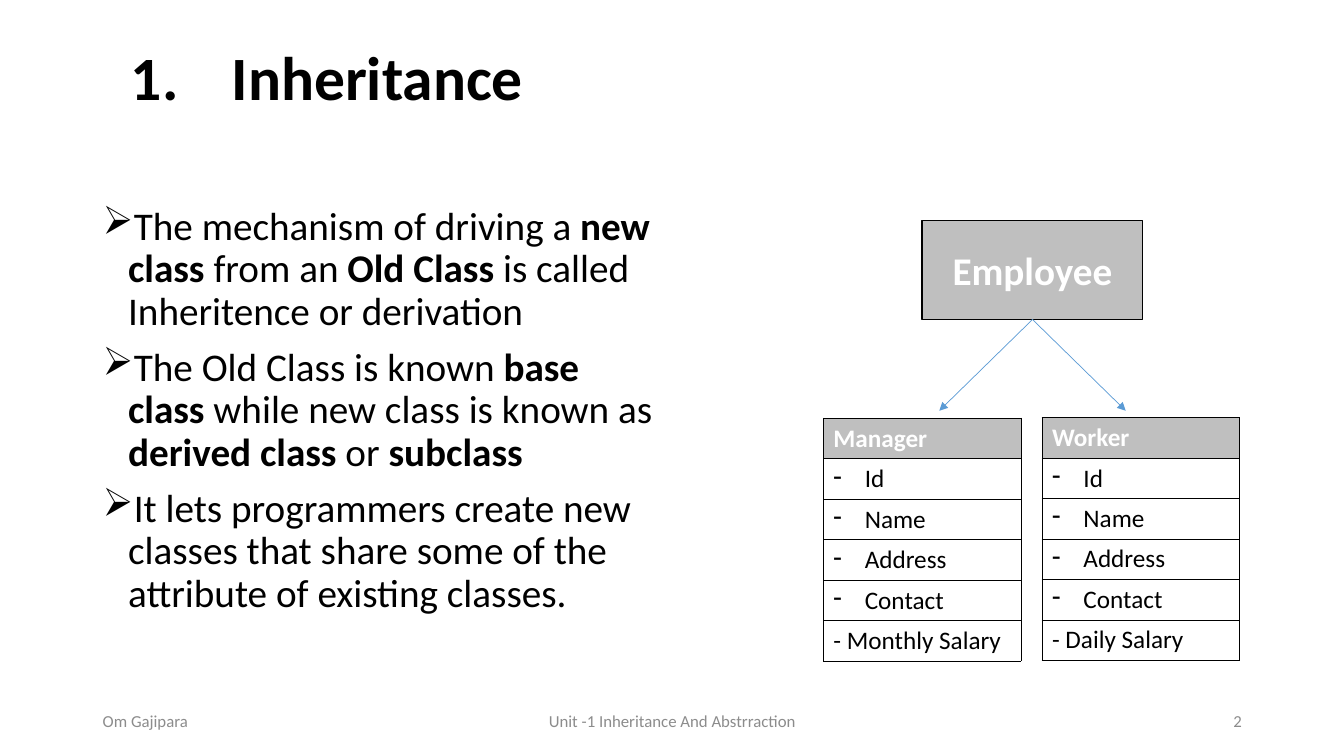
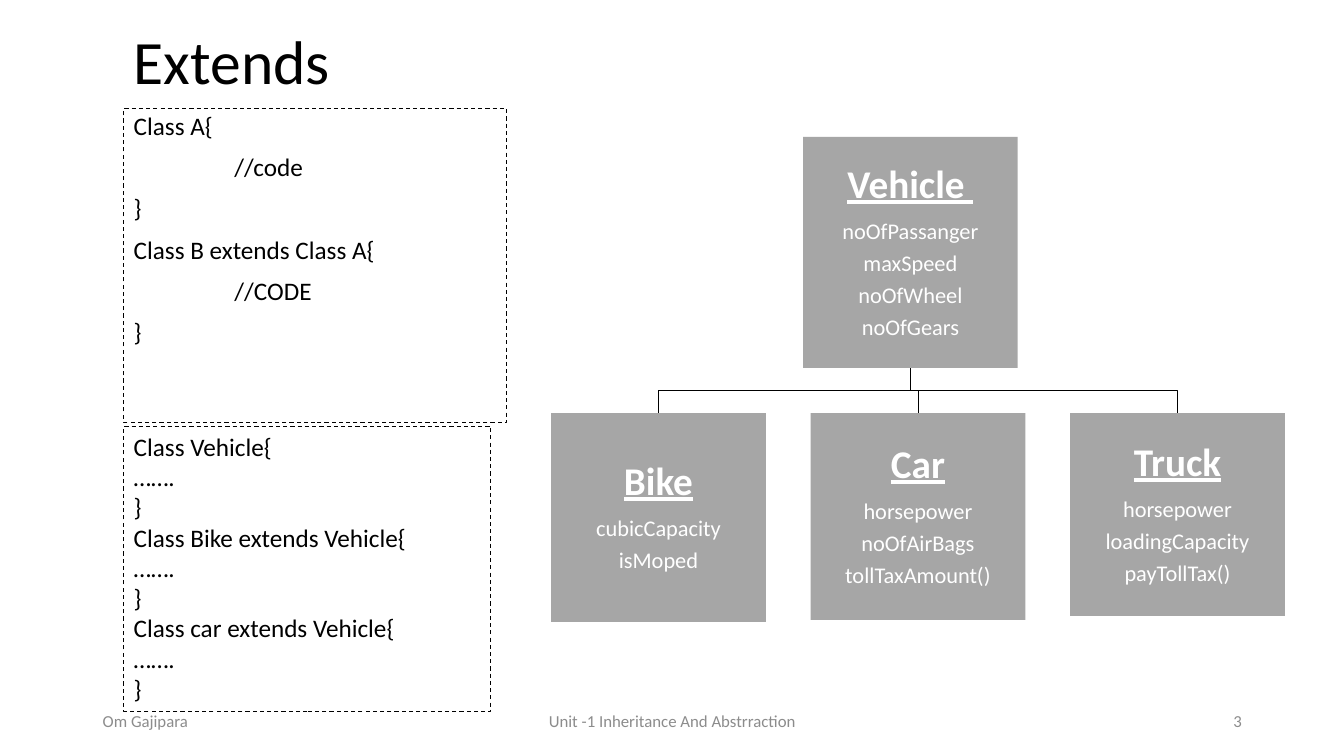
"""Builds two slides on class inheritance."""
import dataclasses
from typing import Any, Sequence

import lxml.etree
import pptx
import pptx.dml.color
import pptx.enum.dml
import pptx.enum.shapes
import pptx.enum.text
import pptx.oxml.ns
import pptx.util

Cm = pptx.util.Cm
Pt = pptx.util.Pt
ALIGN = pptx.enum.text.PP_ALIGN
ANCHOR = pptx.enum.text.MSO_ANCHOR
qn = pptx.oxml.ns.qn

FONT = "Calibri"
BLACK, WHITE, FOOTER_GREY = "000000", "FFFFFF", "8C8C8C"
HEAD_GREY, CARD_GREY, ARROW_BLUE = "BFBFBF", "A6A6A6", "5B9BD5"


@dataclasses.dataclass(frozen=True)
class Area:
    """A rectangle in centimetres."""
    left: float
    top: float
    width: float
    height: float

    @property
    def centre(self) -> float:
        """Horizontal middle."""
        return self.left + self.width / 2

    @property
    def bottom(self) -> float:
        """Lower edge."""
        return self.top + self.height

    def lengths(self) -> list[int]:
        """Position and size as slide lengths."""
        return [Cm(value) for value in dataclasses.astuple(self)]


@dataclasses.dataclass(frozen=True)
class Style:
    """Look of a paragraph; spacing in points, indents in centimetres."""
    size: float
    colour: str = BLACK
    bold: bool = False
    underline: bool = False
    align: Any = ALIGN.LEFT
    line: float = 1.0
    before: float = 0
    after: float = 0
    left: float = 0
    hang: float = 0
    bullet: str = ""
    numbered: bool = False


@dataclasses.dataclass(frozen=True)
class ClassCard:
    """A class with its members and the card that shows it."""
    name: str
    members: tuple[str, ...]
    area: Area


@dataclasses.dataclass(frozen=True)
class ClassTable:
    """A class table with dashed members."""
    name: str
    pay: str
    left: float
    top: float


Lines = Sequence[tuple[str, Style]]

TITLE = Style(44, line=0.9)
NUMBERED_TITLE = dataclasses.replace(TITLE, bold=True, left=2.54, hang=2.54, numbered=True)
POINT = Style(28, line=0.9, before=10, left=0.64, hang=0.64, bullet="➢")
CODE = Style(18)
SPACED_CODE = Style(18, line=0.9, before=10)
INNER_CODE = dataclasses.replace(SPACED_CODE, left=2.54)
BOX_NAME = Style(28, WHITE, bold=True, align=ALIGN.CENTER)
CARD_NAME = dataclasses.replace(BOX_NAME, underline=True, line=0.9, after=9.8)
CARD_MEMBER = Style(16, WHITE, align=ALIGN.CENTER, line=0.9, after=5.6)
TABLE_HEAD = Style(18, WHITE, bold=True)
TABLE_MEMBER = Style(18, left=0.79, hang=0.79, bullet="-")

POINTS = (
    "The mechanism of driving a **new class **from an **Old Class **"
    "is called Inheritence or derivation",
    "The Old Class is known **base class** while new class is known as "
    "**derived class** or **subclass**",
    "It lets programmers create new classes that share some of the "
    "attribute of existing classes.",
)
EMPLOYEE = Area(23.24, 5.56, 5.56, 2.49)
TABLES = (
    ClassTable("Manager", "- Monthly Salary", 20.75, 10.54),
    ClassTable("Worker", "- Daily Salary", 26.26, 10.52),
)
TABLE_WIDTH, ROW_HEIGHT = 4.98, 1.02

CARD_WIDTH, CHILD_LEFT, CHILD_STEP, CHILD_TOP = 5.41, 13.89, 6.54, 10.41
VEHICLE = ClassCard("Vehicle ", ("noOfPassanger", "maxSpeed", "noOfWheel", "noOfGears"),
                    Area(20.24, 3.45, CARD_WIDTH, 5.82))
CHILDREN = [
    ClassCard(name, members,
              Area(CHILD_LEFT + place * CHILD_STEP, CHILD_TOP, CARD_WIDTH, height))
    for place, (name, members, height) in enumerate((
        ("Bike", ("cubicCapacity", "isMoped"), 5.26),
        ("Car", ("horsepower", "noOfAirBags", "tollTaxAmount()"), 5.21),
        ("Truck", ("horsepower", "loadingCapacity", "payTollTax()"), 5.11),
    ))
]


def rgb(colour: str) -> pptx.dml.color.RGBColor:
    """Turn a hex string into a colour."""
    return pptx.dml.color.RGBColor.from_string(colour)


def style_paragraph(para: Any, style: Style) -> None:
    """Apply indents, bullet, spacing and font."""
    properties = para._p.get_or_add_pPr()
    if style.left:
        properties.set("marL", str(Cm(style.left)))
        properties.set("indent", str(-Cm(style.hang)))
    if style.numbered:
        lxml.etree.SubElement(properties, qn("a:buAutoNum"), type="arabicPeriod")
    elif style.bullet:
        lxml.etree.SubElement(properties, qn("a:buChar"), char=style.bullet)
    para.alignment = style.align
    para.line_spacing = style.line
    para.space_before, para.space_after = Pt(style.before), Pt(style.after)
    para.font.name, para.font.size = FONT, Pt(style.size)
    para.font.color.rgb = rgb(style.colour)
    para.font.bold, para.font.underline = style.bold, style.underline


def write_lines(frame: Any, lines: Lines) -> None:
    """Fill a text frame; double asterisks enclose bold words."""
    frame.word_wrap = True
    for place, (text, style) in enumerate(lines):
        para = frame.add_paragraph() if place else frame.paragraphs[0]
        style_paragraph(para, style)
        for part, words in enumerate(text.split("**")):
            if words:
                span = para.add_run()
                span.text = words
                if part % 2:
                    span.font.bold = True


def add_text(page: Any, area: Area, lines: Lines, anchor: Any = ANCHOR.MIDDLE) -> Any:
    """Add a wrapped text box."""
    box = page.shapes.add_textbox(*area.lengths())
    box.text_frame.vertical_anchor = anchor
    write_lines(box.text_frame, lines)
    return box


def add_code(page: Any, area: Area, lines: Lines) -> None:
    """Add code in a dashed frame."""
    box = add_text(page, area, lines, ANCHOR.TOP)
    box.line.color.rgb = rgb(BLACK)
    box.line.width = Pt(0.75)
    box.line.dash_style = pptx.enum.dml.MSO_LINE.DASH


def add_box(page: Any, area: Area, fill: str, lines: Lines) -> Any:
    """Add a filled rectangle without outline, with centred text."""
    box = page.shapes.add_shape(pptx.enum.shapes.MSO_SHAPE.RECTANGLE, *area.lengths())
    box.shadow.inherit = False
    box.fill.solid()
    box.fill.fore_color.rgb = rgb(fill)
    box.line.fill.background()
    box.text_frame.vertical_anchor = ANCHOR.MIDDLE
    write_lines(box.text_frame, lines)
    return box


def add_card(page: Any, card: ClassCard) -> None:
    """Add a class card with its members."""
    lines = [(card.name, CARD_NAME)] + [(member, CARD_MEMBER) for member in card.members]
    frame = add_box(page, card.area, CARD_GREY, lines).text_frame
    frame.margin_left = frame.margin_right = Cm(0.05)
    frame.margin_top = frame.margin_bottom = Cm(0.05)


def add_branch(page: Any, parent: Area, child: Area) -> None:
    """Add an angled line from a parent card to a child card."""
    middle = (parent.bottom + child.top) / 2
    corners = ((parent.centre, middle), (child.centre, middle), (child.centre, child.top))
    builder = page.shapes.build_freeform(Cm(parent.centre), Cm(parent.bottom))
    builder.add_line_segments([(Cm(x), Cm(y)) for x, y in corners], close=False)
    branch = builder.convert_to_shape()
    branch.shadow.inherit = False
    branch.fill.background()
    branch.line.color.rgb = rgb(BLACK)
    branch.line.width = Pt(0.5)


def add_arrow(page: Any, start: tuple[float, float], end: tuple[float, float]) -> None:
    """Add a thin arrow."""
    arrow = page.shapes.add_connector(pptx.enum.shapes.MSO_CONNECTOR.STRAIGHT,
                                      *(Cm(value) for value in start + end))
    arrow.line.color.rgb = rgb(ARROW_BLUE)
    arrow.line.width = Pt(0.5)
    properties = arrow.element.spPr
    lxml.etree.SubElement(properties.find(qn("a:ln")), qn("a:tailEnd"), type="triangle")
    lxml.etree.SubElement(properties, qn("a:effectLst"))


def add_borders(cell: Any) -> None:
    """Draw thin black lines around a cell."""
    properties = cell._tc.get_or_add_tcPr()
    for side in ("a:lnL", "a:lnR", "a:lnT", "a:lnB"):
        edge = lxml.etree.SubElement(properties, qn(side), w=str(Pt(0.5)))
        fill = lxml.etree.SubElement(edge, qn("a:solidFill"))
        lxml.etree.SubElement(fill, qn("a:srgbClr"), val=BLACK)


def add_class_table(page: Any, entry: ClassTable) -> None:
    """Add a one-column class table."""
    lines = [(entry.name, TABLE_HEAD)]
    lines += [(member, TABLE_MEMBER) for member in ("Id", "Name", "Address", "Contact")]
    lines.append((entry.pay, CODE))
    area = Area(entry.left, entry.top, TABLE_WIDTH, ROW_HEIGHT * len(lines))
    table = page.shapes.add_table(len(lines), 1, *area.lengths()).table
    table.horz_banding = False
    for row, line in enumerate(lines):
        cell = table.cell(row, 0)
        add_borders(cell)
        if row:
            cell.fill.background()
        else:
            cell.fill.solid()
            cell.fill.fore_color.rgb = rgb(HEAD_GREY)
        write_lines(cell.text_frame, [line])


def add_page(deck: Any, number: int, title: str, area: Area, style: Style) -> Any:
    """Add a blank page with its title and footer."""
    page = deck.slides.add_slide(deck.slide_layouts[6])
    add_text(page, area, [(title, style)])
    for text, left, width, align in (
        ("Om Gajipara", 2.34, 7.62, ALIGN.LEFT),
        ("Unit -1 Inheritance And Abstrraction", 11.23, 11.43, ALIGN.CENTER),
        (str(number), 23.93, 7.62, ALIGN.RIGHT),
    ):
        add_text(page, Area(left, 17.65, width, 1.02),
                 [(text, Style(12, FOOTER_GREY, align=align))])
    return page


def build_inheritance(deck: Any) -> None:
    """Build the page that explains inheritance."""
    page = add_page(deck, 2, "Inheritance", Area(3.05, 0.79, 27.94, 2.49), NUMBERED_TITLE)
    add_text(page, Area(2.34, 5.08, 14.4, 12.09), [(text, POINT) for text in POINTS], ANCHOR.TOP)
    employee = add_box(page, EMPLOYEE, HEAD_GREY, [("Employee", BOX_NAME)])
    employee.line.color.rgb = rgb(BLACK)
    employee.line.width = Pt(1)
    for reach in (-2.35, 2.35):
        add_arrow(page, (EMPLOYEE.centre, EMPLOYEE.bottom), (EMPLOYEE.centre + reach, 10.35))
    for entry in TABLES:
        add_class_table(page, entry)


def build_extends(deck: Any) -> None:
    """Build the page on the extends keyword."""
    page = add_page(deck, 3, "Extends", Area(3.12, 0.28, 27.94, 2.69), TITLE)
    spaced = [
        line
        for head, body in (("Class A{", "//code"), ("Class B extends Class A{", "//CODE"))
        for line in ((head, SPACED_CODE), (body, INNER_CODE), ("}", SPACED_CODE))
    ]
    add_code(page, Area(3.12, 2.74, 9.65, 7.9), spaced)
    heads = ("Class Vehicle{", "Class Bike extends Vehicle{", "Class car extends Vehicle{")
    add_code(page, Area(3.12, 10.74, 9.25, 7.19),
             [(text, CODE) for head in heads for text in (head, "…….", "}")])
    for child in CHILDREN:
        add_branch(page, VEHICLE.area, child.area)
    for card in (VEHICLE, *CHILDREN):
        add_card(page, card)


def main() -> None:
    """Build and save the deck."""
    deck = pptx.Presentation()
    deck.slide_width, deck.slide_height = Cm(33.87), Cm(19.05)
    build_inheritance(deck)
    build_extends(deck)
    deck.save("out.pptx")


main()
